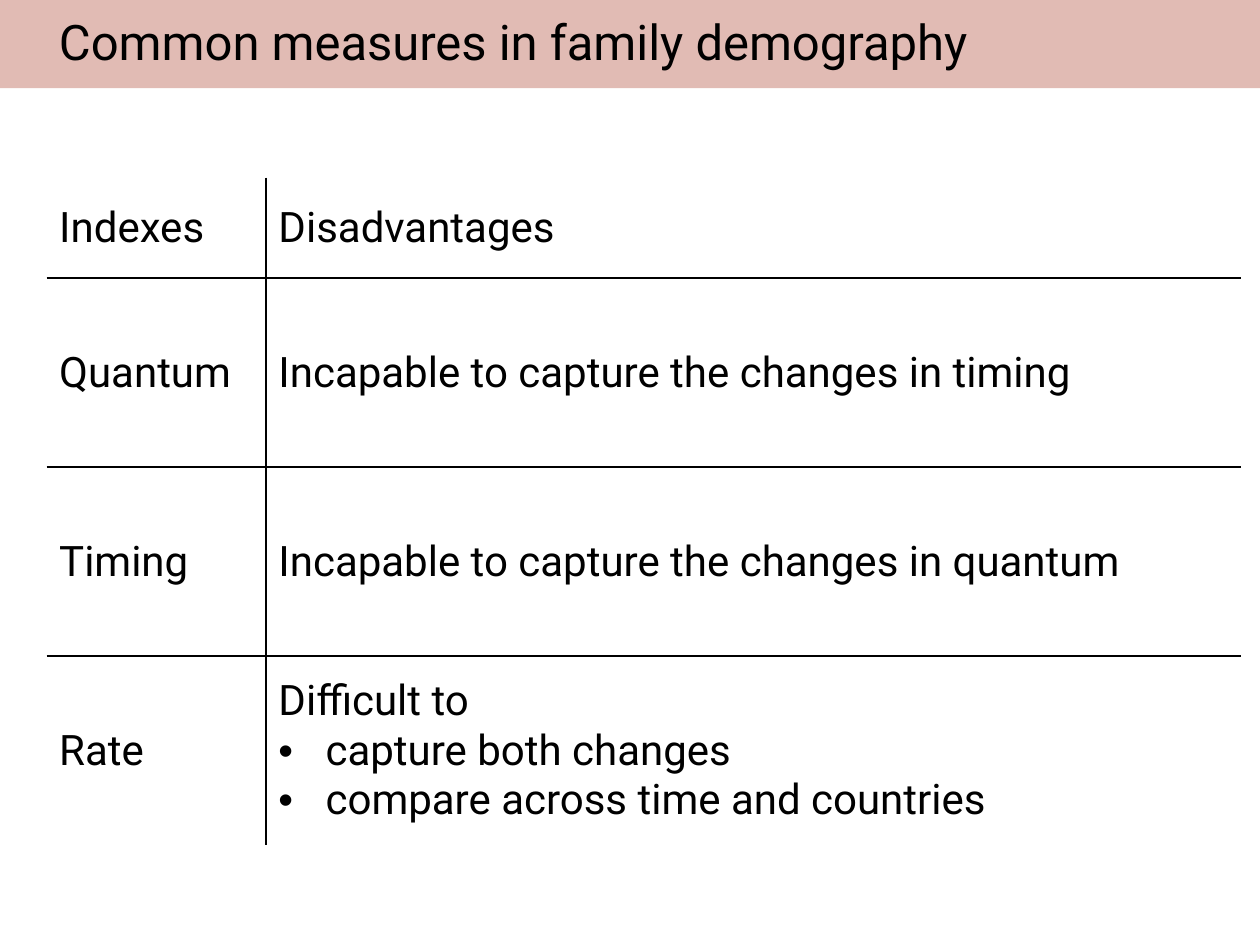
import lxml.etree
import pptx
import pptx.dml.color
import pptx.enum.shapes
import pptx.enum.text
import pptx.oxml.ns
import pptx.util

Cm = pptx.util.Cm
Pt = pptx.util.Pt
qn = pptx.oxml.ns.qn

HUES = {"band": "E1BBB4", "ink": "000000"}
PLAIN = "{2D5ABB26-0587-4C30-8999-92F81FD0307C}"
ROWS = [
    ("Indexes", ["Disadvantages"]),
    ("Quantum", ["Incapable to capture the changes in timing"]),
    ("Timing", ["Incapable to capture the changes in quantum"]),
    ("Rate", ["Difficult to", "capture both changes", "compare across time and countries"]),
]


class Page:
    """Holds the text style and the slide being built."""

    def __init__(self, slide, face="Roboto"):
        self.slide = slide
        self.face = face

    def hue(self, name):
        return pptx.dml.color.RGBColor.from_string(HUES[name])

    def band(self, left, top, width, height):
        rect = pptx.enum.shapes.MSO_SHAPE.RECTANGLE
        shape = self.slide.shapes.add_shape(rect, Cm(left), Cm(top), Cm(width), Cm(height))
        shape.shadow.inherit = False
        shape.fill.solid()
        shape.fill.fore_color.rgb = self.hue("band")
        shape.line.fill.background()

    def style(self, par, size):
        par.font.name = self.face
        par.font.size = Pt(size)
        par.font.color.rgb = self.hue("ink")

    def title(self, text, left, top, width, height):
        box = self.slide.shapes.add_textbox(Cm(left), Cm(top), Cm(width), Cm(height))
        frame = box.text_frame
        frame.word_wrap = True
        frame.vertical_anchor = pptx.enum.text.MSO_ANCHOR.MIDDLE
        par = frame.paragraphs[0]
        par.text = text
        par.line_spacing = 0.9
        par.space_before = Pt(10)
        self.style(par, 28)

    def bullet(self, par):
        props = par._p.get_or_add_pPr()
        props.set("marL", str(Cm(0.95)))
        props.set("indent", str(-Cm(0.95)))
        lxml.etree.SubElement(props, qn("a:buFont"), typeface="Arial")
        lxml.etree.SubElement(props, qn("a:buChar"), char="•")

    def edge(self, cell, sides):
        props = cell._tc.get_or_add_tcPr()
        for side in sides:
            line = lxml.etree.SubElement(props, qn("a:ln" + side), w=str(Pt(1.5)))
            fill = lxml.etree.SubElement(line, qn("a:solidFill"))
            lxml.etree.SubElement(fill, qn("a:srgbClr"), val=HUES["ink"])

    def cell(self, cell, lines, sides):
        cell.vertical_anchor = pptx.enum.text.MSO_ANCHOR.MIDDLE
        self.edge(cell, sides)
        cell.fill.background()
        cell.text_frame.text = "\n".join(lines)
        for i, par in enumerate(cell.text_frame.paragraphs):
            if i:
                self.bullet(par)
            self.style(par, 24)

    def table(self, rows, left, top, wides, highs):
        frame = self.slide.shapes.add_table(
            len(rows), len(wides), Cm(left), Cm(top), Cm(sum(wides)), Cm(sum(highs)))
        table = frame.table
        table.first_row = table.horz_banding = False
        table._tbl.tblPr.find(qn("a:tableStyleId")).text = PLAIN
        for col, wide in zip(table.columns, wides):
            col.width = Cm(wide)
        for r, (index, flaws) in enumerate(rows):
            table.rows[r].height = Cm(highs[r])
            rules = ("T" if r in (1, 2) else "") + ("B" if r in (0, 1) else "")
            self.cell(table.cell(r, 0), [index], "R" + rules)
            self.cell(table.cell(r, 1), flaws, "L" + rules)


def main():
    deck = pptx.Presentation()
    deck.slide_width, deck.slide_height = Cm(25.4), Cm(19.05)
    page = Page(deck.slides.add_slide(deck.slide_layouts[6]))
    page.band(0, 0, 25.4, 1.78)
    page.title("Common measures in family demography", 0.94, 0.2, 23.44, 1.4)
    page.table(ROWS, 0.94, 3.58, [4.42, 19.66], [2.03] + [3.81] * 3)
    deck.save("out.pptx")


if __name__ == "__main__":
    main()
